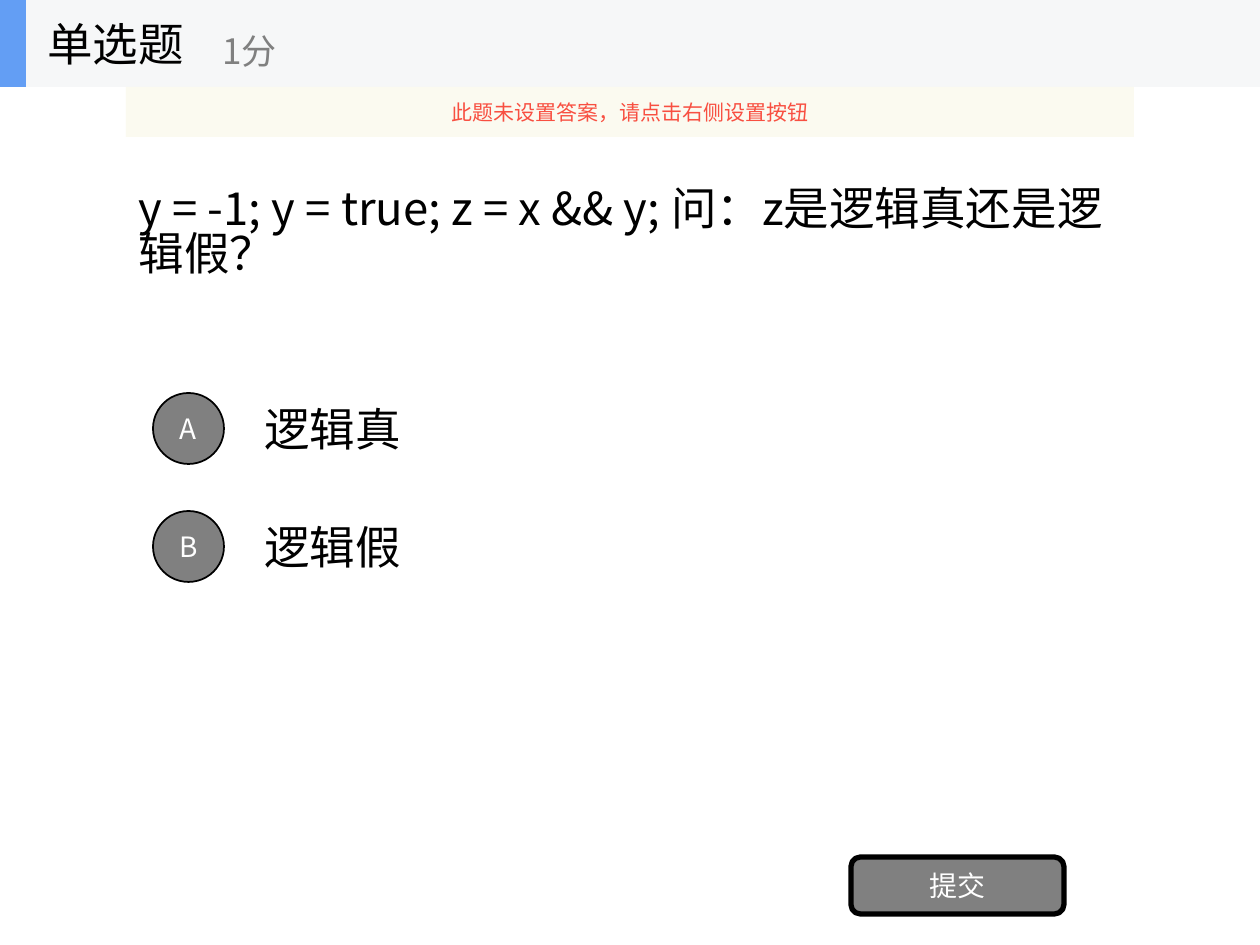
"""Build a single-choice quiz slide with two options and a submit button."""
from lxml import etree
from pptx import Presentation
from pptx import util as u
from pptx.dml.color import RGBColor
from pptx.enum import shapes, text
from pptx.oxml.ns import qn

PX = 9144000 // 1260
FONT = "Noto Sans CJK SC"
BLACK, GREY, WHITE = "000000", "808080", "FFFFFF"
LEFT, CENTER = text.PP_ALIGN.LEFT, text.PP_ALIGN.CENTER
KIND = shapes.MSO_SHAPE

QUESTION = "y = -1; y = true; z = x && y; 问：z是逻辑真还是逻辑假？"
OPTIONS = [("A", "逻辑真"), ("B", "逻辑假")]
OPTION_TOP, OPTION_STEP, OPTION_H, BADGE = 384, 118, 88, 71
BARS = [((0, 0, 1260, 87), "F6F7F8"), ((0, 0, 26, 87), "639EF4")]
LABELS = [((35, 0, 262, 87), "单选题", 26, BLACK),
          ((210, 15, 315, 71), "1分", 20, GREY)]
BUTTON = ((851, 857, 213, 57), "提交")
NOTICE = ((126, 87, 1008, 50), "此题未设置答案，请点击右侧设置按钮")


def rgb(value):
    return RGBColor.from_string(value)


def emu(box):
    return [u.Emu(v * PX) for v in box]


def write(sp, words, size, color, align=LEFT):
    tf = sp.text_frame
    tf.word_wrap = True
    tf.auto_size = text.MSO_AUTO_SIZE.NONE
    tf.vertical_anchor = text.MSO_ANCHOR.MIDDLE
    p = tf.paragraphs[0]
    p.alignment = align
    r = p.add_run()
    r.text = words
    r.font.size = u.Pt(size)
    r.font.name = FONT
    r.font.color.rgb = rgb(color)
    etree.SubElement(r.font._element, qn("a:ea"), typeface=FONT)
    return p


def label(s, box, words, size, color):
    write(s.shapes.add_textbox(*emu(box)), words, size, color)


def shape(s, kind, box, fill, line=0):
    sp = s.shapes.add_shape(kind, *emu(box))
    sp.shadow.inherit = False
    sp.fill.solid()
    sp.fill.fore_color.rgb = rgb(fill)
    if line:
        sp.line.color.rgb = rgb(BLACK)
        sp.line.width = u.Pt(line)
    else:
        sp.line.fill.background()
    return sp


def main():
    prs = Presentation()
    prs.slide_width, prs.slide_height = u.Inches(10), u.Inches(7.5)
    s = prs.slides.add_slide(prs.slide_layouts[5])

    title = s.shapes.title
    title.left, title.top, title.width, title.height = emu((126, 87, 1008, 295))
    write(title, QUESTION, 26, BLACK).line_spacing = 0.82

    for i, (letter, words) in enumerate(OPTIONS):
        top = OPTION_TOP + i * OPTION_STEP
        label(s, (252, top, 882, OPTION_H), words, 26, BLACK)
        badge_top = top + (OPTION_H - BADGE) // 2 + 1
        sp = shape(s, KIND.OVAL, (153, badge_top, BADGE, BADGE), GREY, 1)
        write(sp, letter, 16, WHITE, CENTER)

    box, words = BUTTON
    write(shape(s, KIND.ROUNDED_RECTANGLE, box, GREY, 3), words, 16, WHITE, CENTER)

    for box, fill in BARS:
        shape(s, KIND.RECTANGLE, box, fill)
    for item in LABELS:
        label(s, *item)

    box, words = NOTICE
    sp = shape(s, KIND.RECTANGLE, box, "FBFAEF")
    color = sp._element.spPr.find(qn("a:solidFill"))[0]
    etree.SubElement(color, qn("a:alpha"), val="90000")
    write(sp, words, 12, "F84F41", CENTER)

    prs.save("out.pptx")


if __name__ == "__main__":
    main()
